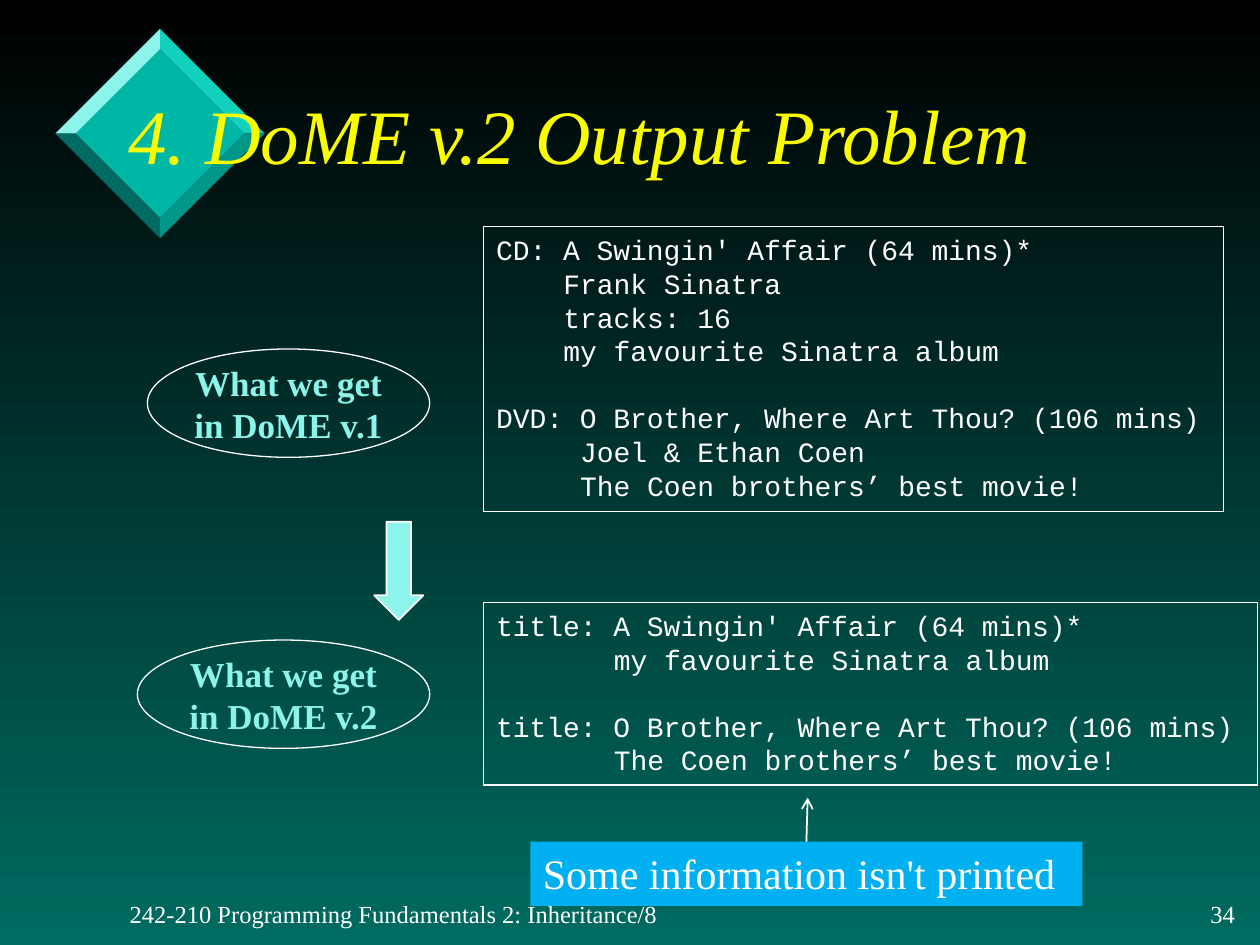
from lxml.etree import SubElement
from pptx import Presentation
from pptx.dml.color import RGBColor
from pptx.enum.shapes import MSO_CONNECTOR, MSO_SHAPE
from pptx.enum.text import MSO_ANCHOR, PP_ALIGN
from pptx.oxml.ns import qn
from pptx.util import Inches, Pt

COLORS = {
    "black": "000000", "deep": "006B61", "teal": "00B7A5", "mid": "14D1BE",
    "pale": "8CF4EA", "dark": "009688", "white": "FFFFFF",
    "yellow": "FAFD00", "blue": "00B0F0",
}
SERIF, MONO = "Times New Roman", "Courier New"
CHAR = 16 * 0.6 / 72
PITCH = 19.2


class Page:
    """Draws styled elements on the current slide."""

    def __init__(self, slide):
        self.slide = slide
        self.shapes = slide.shapes

    def color(self, name):
        return RGBColor.from_string(COLORS[name])

    def back(self, top, base):
        fill = self.slide.background.fill
        fill.gradient()
        fill.gradient_angle = 270
        for stop, name in zip(fill.gradient_stops, (top, base)):
            stop.color.rgb = self.color(name)

    def paint(self, shape, fill=None, line=None, width=0.75):
        shape.shadow.inherit = False
        if fill:
            shape.fill.solid()
            shape.fill.fore_color.rgb = self.color(fill)
        else:
            shape.fill.background()
        if line:
            shape.line.color.rgb = self.color(line)
            shape.line.width = Pt(width)
        else:
            shape.line.fill.background()
        return shape

    def shape(self, kind, box, **style):
        item = self.shapes.add_shape(kind, *map(Inches, box))
        return self.paint(item, **style)

    def facet(self, points, fill):
        spots = [(Inches(x), Inches(y)) for x, y in points]
        form = self.shapes.build_freeform(*spots[0], scale=1.0)
        form.add_line_segments(spots[1:], close=True)
        self.paint(form.convert_to_shape(), fill)

    def text(self, shape, lines, size, color="white", font=SERIF, bold=False,
             italic=False, align=PP_ALIGN.LEFT, anchor=MSO_ANCHOR.TOP, wrap=False):
        frame = shape.text_frame
        frame.word_wrap = wrap
        frame.vertical_anchor = anchor
        for num, line in enumerate(lines):
            para = frame.add_paragraph() if num else frame.paragraphs[0]
            para.alignment = align
            run = para.add_run()
            run.text = line
            run.font.name, run.font.size = font, Pt(size)
            run.font.bold, run.font.italic = bold, italic
            run.font.color.rgb = self.color(color)
        return frame.paragraphs

    def label(self, box, words, size, **style):
        item = self.shapes.add_textbox(*map(Inches, box))
        self.text(item, [words], size, anchor=MSO_ANCHOR.MIDDLE, **style)

    def listing(self, box, groups):
        item = self.shape(MSO_SHAPE.RECTANGLE, box, line="white")
        rows = [(line, indent if num else 0, group > 0 and num == 0)
                for group, (indent, lines) in enumerate(groups)
                for num, line in enumerate(lines)]
        paras = self.text(item, [row[0] for row in rows], 16, font=MONO)
        for para, (_, indent, gap) in zip(paras, rows):
            para.line_spacing = Pt(PITCH)
            para.space_before = Pt(PITCH if gap else 0)
            props = para._p.get_or_add_pPr()
            props.set("marL", str(Inches(indent * CHAR)))
            props.set("indent", "0")

    def oval(self, box, lines):
        item = self.shape(MSO_SHAPE.OVAL, box, line="white")
        self.text(item, lines, 20, color="pale", bold=True,
                  align=PP_ALIGN.CENTER, anchor=MSO_ANCHOR.MIDDLE)

    def arrow(self, source, start, end):
        line = self.shapes.add_connector(
            MSO_CONNECTOR.STRAIGHT, *map(Inches, start + end))
        line.begin_connect(source, 0)
        line.line.color.rgb = self.color("white")
        line.line.width = Pt(1)
        props = line._element.spPr
        SubElement(props.find(qn("a:ln")), qn("a:tailEnd"), type="arrow")
        SubElement(props, qn("a:effectLst"))


def corners(radius):
    x, y = 1.27, 1.06
    return [(x, y - radius), (x + radius, y), (x, y + radius), (x - radius, y)]


def main():
    deck = Presentation()
    deck.slide_width, deck.slide_height = Inches(10), Inches(7.5)
    page = Page(deck.slides.add_slide(deck.slide_layouts[6]))
    page.back("black", "deep")

    inner, outer = corners(0.67), corners(0.83)
    page.facet(inner, "teal")
    for num, fill in enumerate(("mid", "dark", "deep", "pale")):
        after = (num + 1) % 4
        page.facet([inner[num], outer[num], outer[after], inner[after]], fill)

    page.label((0.93, 7.09, 4.42, 0.33),
               "242-210 Programming Fundamentals 2: Inheritance/8", 14)
    page.label((9.48, 7.09, 0.42, 0.33), "34", 14, align=PP_ALIGN.RIGHT)
    page.label((0.92, 0.46, 8.51, 1.21), "4. DoME v.2 Output Problem", 44,
               color="yellow", italic=True, wrap=True)

    page.listing((3.84, 1.8, 5.87, 2.26), [
        (4, ["CD: A Swingin' Affair (64 mins)*", "Frank Sinatra",
             "tracks: 16", "my favourite Sinatra album"]),
        (5, ["DVD: O Brother, Where Art Thou? (106 mins)",
             "Joel & Ethan Coen", "The Coen brothers’ best movie!"]),
    ])
    page.listing((3.84, 4.78, 6.14, 1.45), [
        (7, ["title: A Swingin' Affair (64 mins)*",
             "my favourite Sinatra album"]),
        (7, ["title: O Brother, Where Art Thou? (106 mins)",
             "The Coen brothers’ best movie!"]),
    ])

    page.oval((1.17, 2.77, 2.24, 0.86), ["What we get", "in DoME v.1"])
    page.oval((1.09, 5.08, 2.32, 0.86), ["What we get", "in DoME v.2"])
    page.shape(MSO_SHAPE.DOWN_ARROW, (2.97, 4.14, 0.39, 0.78),
               fill="pale", line="white", width=1)

    note = page.shape(MSO_SHAPE.RECTANGLE, (4.21, 6.68, 4.38, 0.51), fill="blue")
    page.text(note, ["Some information isn't printed"], 24)
    page.arrow(note, (6.4, 6.68), (6.41, 6.33))

    deck.save("out.pptx")


if __name__ == "__main__":
    main()
